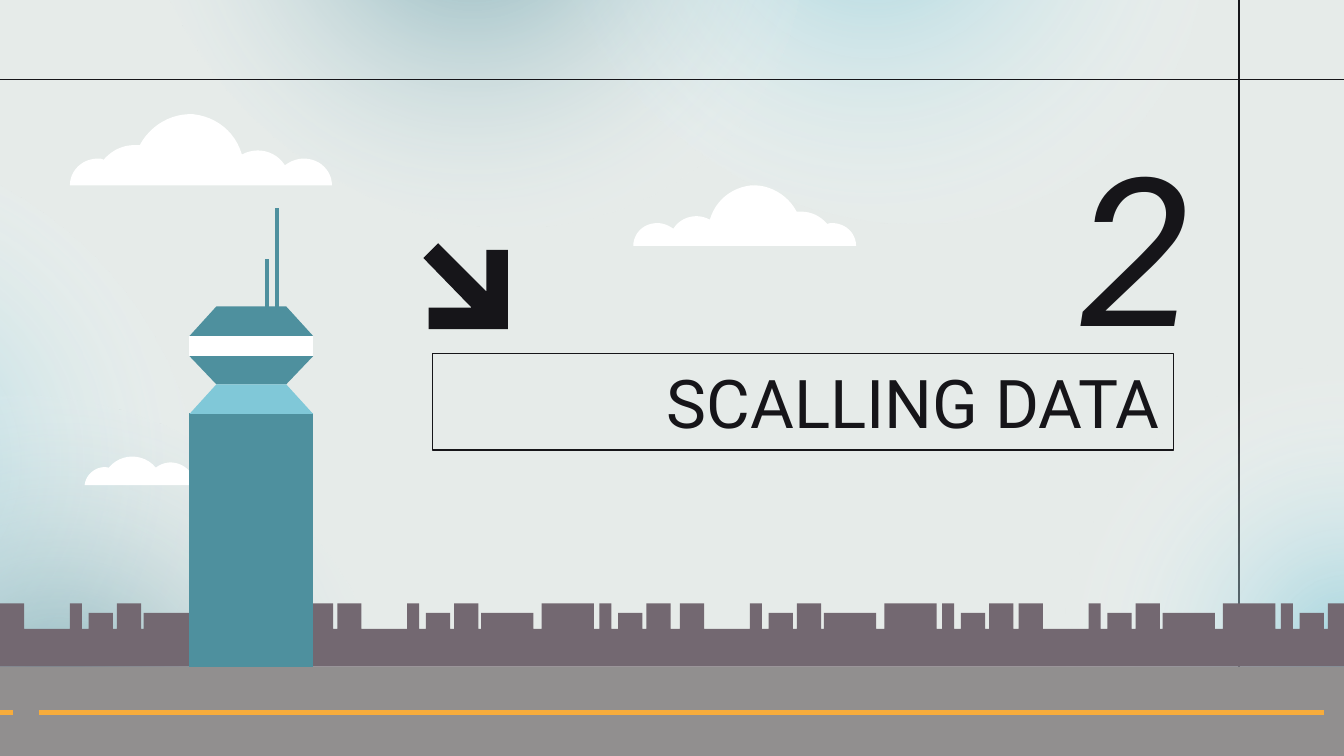
"""Build the section slide with a control tower, a skyline and soft glows."""
from dataclasses import dataclass
from pptx import Presentation
from pptx.dml.color import RGBColor as RGB
from pptx.enum.shapes import MSO_CONNECTOR as Link, MSO_SHAPE as Kind
from pptx.enum.text import MSO_ANCHOR as Anchor, MSO_AUTO_SIZE as Fit, PP_ALIGN as Align
from pptx.oxml import parse_xml
from pptx.oxml.ns import nsdecls, qn
from pptx.util import Inches, Pt


@dataclass(frozen=True)
class Theme:
    paper: str = "E6EBE9"
    ink: str = "161519"
    teal: str = "4E909E"
    sky: str = "80C8D8"
    town: str = "736871"
    road: str = "918F8F"
    amber: str = "F7AC3B"
    white: str = "FFFFFF"
    font: str = "Roboto"
    head: int = 36
    digit: int = 111
    thin: float = 0.75
    thick: float = 2.56


theme = Theme()
deck = Presentation()
deck.slide_width = Inches(10)
deck.slide_height = deck.slide_width * 9 // 16
cell = deck.slide_width // 10
high = deck.slide_height / cell
slide = deck.slides.add_slide(deck.slide_layouts[5])
shapes = slide.shapes
title = shapes.title
slide.background.fill.solid()
slide.background.fill.fore_color.rgb = RGB.from_string(theme.paper)


def draw(points, color):
    """Fill a closed outline given in grid cells."""
    dots = [(round(x * cell), round(y * cell)) for x, y in points]
    pen = shapes.build_freeform(*dots[0])
    pen.add_line_segments(dots[1:], close=True)
    form = pen.convert_to_shape()
    form.shadow.inherit = False
    form.fill.solid()
    form.fill.fore_color.rgb = RGB.from_string(color)
    form.line.fill.background()


def rule(ends, color, width):
    """Draw a straight line between two grid points."""
    line = shapes.add_connector(Link.STRAIGHT, *(round(n * cell) for n in ends))
    line.line.color.rgb = RGB.from_string(color)
    line.line.width = Pt(width)
    line._element.spPr.append(parse_xml(f"<a:effectLst {nsdecls('a')}/>"))


rule((9.22, 0, 9.22, high), theme.ink, theme.thin)

glows = [
    (3.88, -3.08, 42, theme.sky, 68),
    (0.9, -3.06, 42, theme.teal, 68),
    (6.11, 4.36, 356.7, theme.teal, 81),
    (7.42, 2.54, 356.7, theme.sky, 68),
    (-3.65, 1.14, 33.5, theme.sky, 68),
    (-2.18, 3.04, 33.5, theme.teal, 68),
]
for x, y, turn, color, alpha in glows:
    box = (round(n * cell) for n in (x, y, 5.22, 4.6))
    glow = shapes.add_shape(Kind.OVAL, *box)
    glow.rotation = turn
    glow.shadow.inherit = False
    glow.line.fill.background()
    glow.fill.background()
    stops = "".join(
        f'<a:gs pos="{at}000"><a:srgbClr val="{tone}"><a:alpha val="{part}000"/></a:srgbClr></a:gs>'
        for at, tone, part in ((0, color, alpha), (58, theme.white, 0), (100, theme.white, 0))
    )
    props = glow._element.spPr
    props.replace(props.find(qn("a:noFill")), parse_xml(
        f'<a:gradFill {nsdecls("a")} rotWithShape="1"><a:gsLst>{stops}</a:gsLst><a:path path="circle">'
        '<a:fillToRect l="50000" t="50000" r="50000" b="50000"/></a:path></a:gradFill>'
    ))

rule((0, 0.59, 10, 0.59), theme.ink, theme.thin)

tall, low, base, ground = 4.49, 4.56, 4.68, 4.96
blocks = [
    (-0.52, 0.18, tall), (0, 0.09, tall), (0.14, 0.18, low), (0.35, 0.18, tall),
    (0.55, 0.39, low), (1, 0.39, tall), (1.43, 0.09, tall), (1.57, 0.18, low),
    (1.78, 0.18, tall),
]
town = [(0, ground), (0, base)]
for start in (0.52, 3.03, 5.58, 8.1):
    for step, wide, top in blocks:
        left = start + step
        right = min(left + wide, 10)
        town += [(left, base), (left, top), (right, top), (right, base)]
draw(town + [(10, base), (10, ground)], theme.town)
draw([(0, ground), (10, ground), (10, high), (0, high)], theme.road)
for left, right in ((0.29, 9.85), (0, 0.1)):
    rule((left, 5.3, right, 5.3), theme.amber, theme.thick)

large = [
    ((0, 0.11), (0.09, 0.2), (0.21, 0.2)),
    ((0.22, 0.2), (0.24, 0.2), (0.25, 0.19)),
    ((0.31, 0.26), (0.39, 0.3), (0.48, 0.3)),
    ((0.49, 0.3), (0.51, 0.3), (0.52, 0.3)),
    ((0.6, 0.45), (0.76, 0.54), (0.92, 0.53)),
    ((1.09, 0.51), (1.23, 0.4), (1.28, 0.23)),
    ((1.39, 0.29), (1.53, 0.26), (1.6, 0.15)),
    ((1.64, 0.18), (1.69, 0.2), (1.74, 0.2)),
    ((1.86, 0.2), (1.95, 0.11), (1.95, 0)),
]
small = [
    ((0.01, 0.09), (0.1, 0.15), (0.18, 0.13)),
    ((0.27, 0.24), (0.44, 0.24), (0.53, 0.13)),
    ((0.62, 0.2), (0.74, 0.17), (0.8, 0.08)),
    ((0.87, 0.11), (0.94, 0.07), (0.96, 0)),
]
clouds = [(large, 0.52, 1.38, 1, 1), (large, 6.37, 1.83, -0.85, 0.85), (small, 0.63, 3.61, 1, 1)]
for puffs, left, foot, across, up in clouds:
    edge = [(0, 0)]
    for puff in puffs:
        knots = (edge[-1], *puff)
        for t in (n / 12 for n in range(1, 13)):
            share = ((1 - t) ** 3, 3 * t * (1 - t) ** 2, 3 * t * t * (1 - t), t ** 3)
            edge.append(tuple(sum(s * k[i] for s, k in zip(share, knots)) for i in (0, 1)))
    draw([(left + x * across, foot - y * up) for x, y in edge], theme.white)

shapes._spTree.append(title._element)
title.line.color.rgb = RGB.from_string(theme.ink)
title.line.width = Pt(theme.thin)
digit = shapes.add_textbox(0, 0, cell, cell)
labels = [
    (title, "SCALLING DATA", (3.22, 2.63, 5.51, 0.72), theme.head, False),
    (digit, "2", (6.5, 1.23, 2.46, 1.17), theme.digit, True),
]
for label, text, box, size, slant in labels:
    label.left, label.top, label.width, label.height = (round(n * cell) for n in box)
    frame = label.text_frame
    frame.text = text
    frame.word_wrap = True
    frame.auto_size = Fit.NONE
    frame.vertical_anchor = Anchor.MIDDLE
    frame.margin_left = frame.margin_right = frame.margin_top = frame.margin_bottom = cell // 10
    para = frame.paragraphs[0]
    para.alignment = Align.RIGHT
    para.font.name = theme.font
    para.font.size = Pt(size)
    para.font.italic = slant
    para.font.color.rgb = RGB.from_string(theme.ink)

left, right, inset = 1.41, 2.33, 0.2
tower = [
    (2.5, 2.65, 0, 0, theme.white),
    (3.07, ground, 0, 0, theme.teal),
    (2.65, 2.86, 0, inset, theme.teal),
    (2.28, 2.5, inset, 0, theme.teal),
    (2.86, 3.08, inset, 0, theme.sky),
]
for top, foot, roof, floor, color in tower:
    draw([(left + roof, top), (right - roof, top), (right - floor, foot), (left + floor, foot)], color)
for mast, top in ((2.05, 1.55), (1.97, 1.93)):
    draw([(mast, top), (mast + 0.03, top), (mast + 0.03, 2.38), (mast, 2.38)], theme.teal)

draw([
    (3.26, 1.81), (3.15, 1.92), (3.51, 2.29), (3.19, 2.29), (3.19, 2.45),
    (3.78, 2.45), (3.78, 1.86), (3.62, 1.86), (3.62, 2.17),
], theme.ink)

deck.save("out.pptx")
